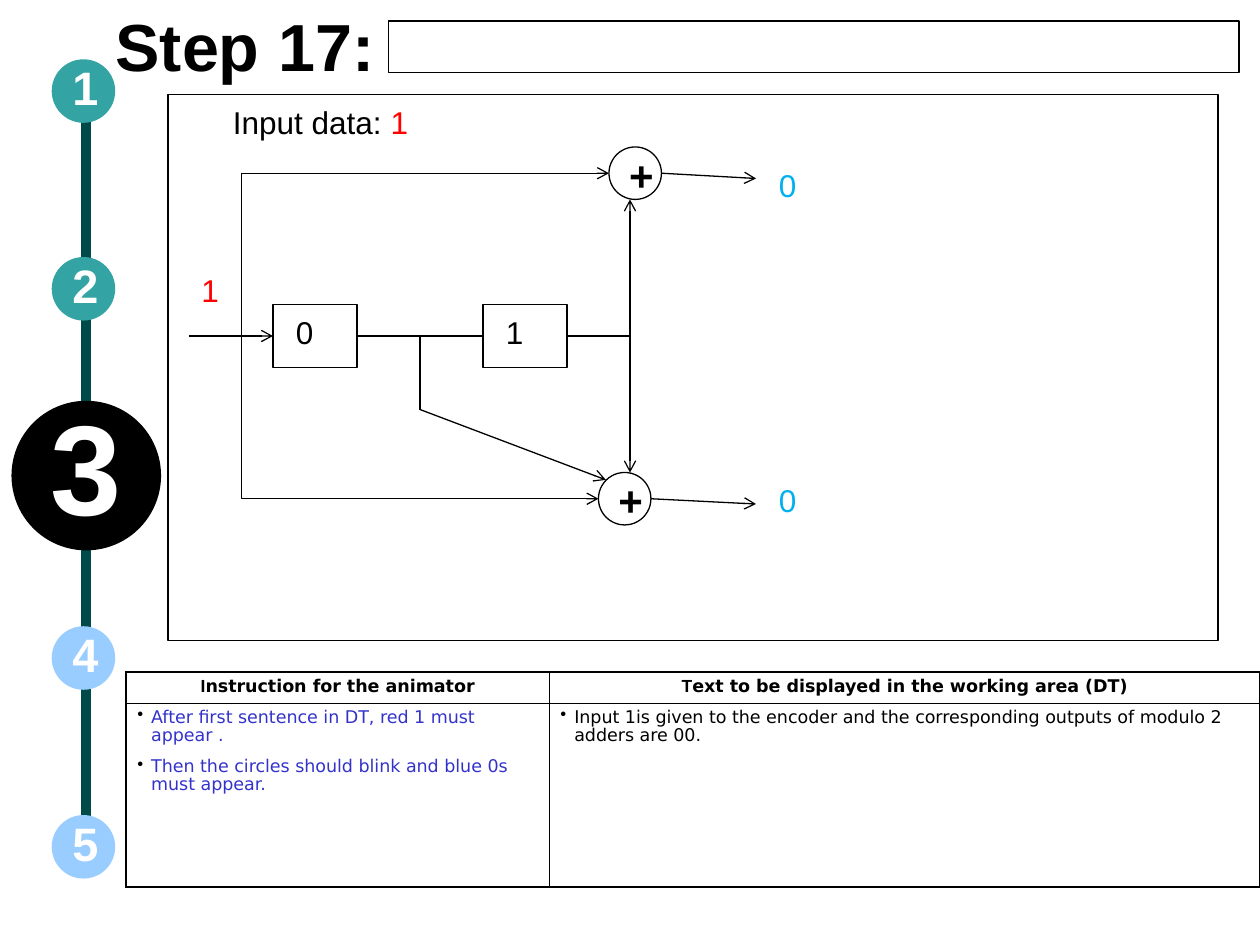
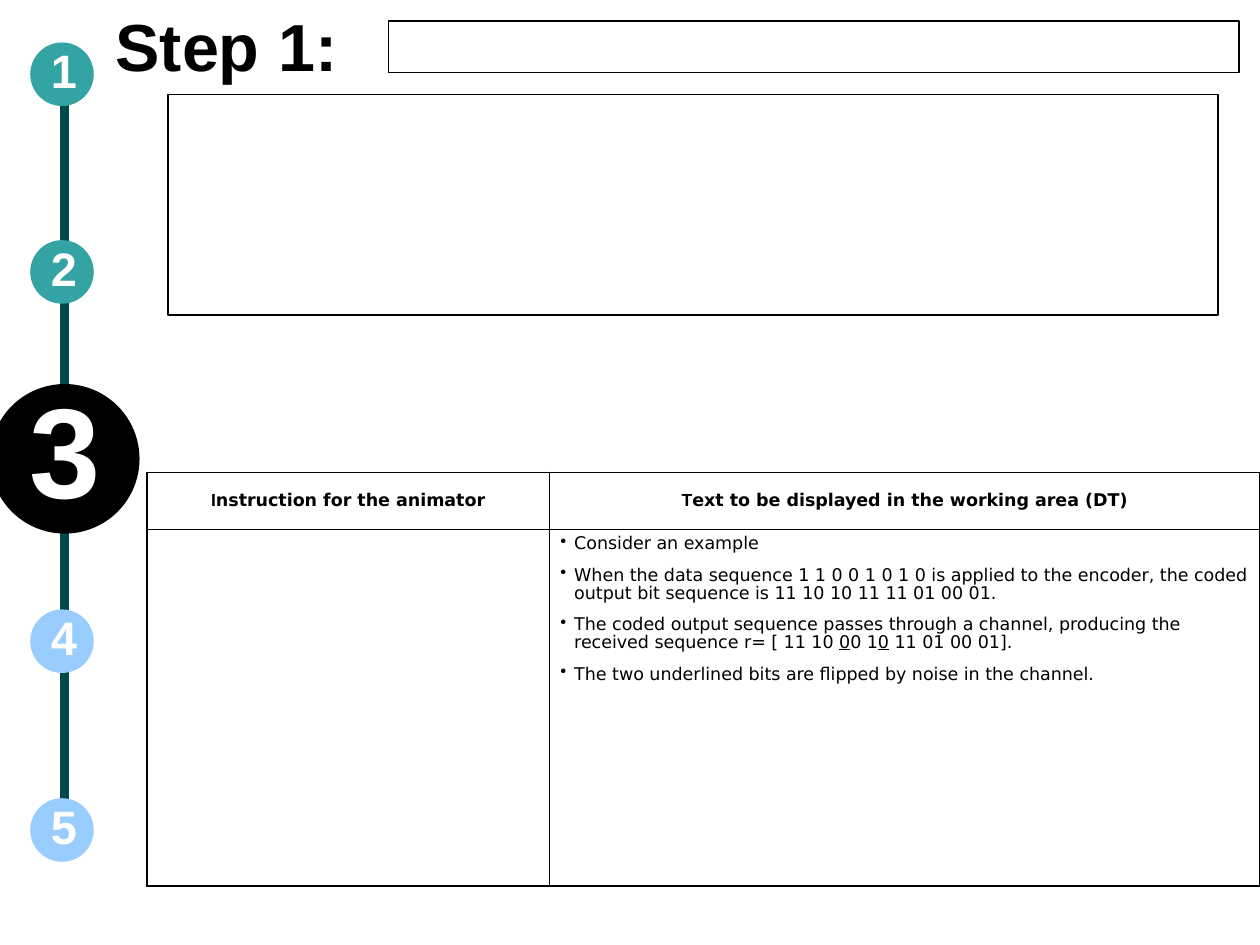
from dataclasses import dataclass

from lxml import etree
from pptx import Presentation
from pptx.dml.color import RGBColor
from pptx.enum.shapes import MSO_CONNECTOR, MSO_SHAPE
from pptx.enum.text import MSO_ANCHOR, PP_ALIGN
from pptx.oxml.ns import qn
from pptx.util import Emu, Inches, Pt

STRAIGHT, ELBOW = MSO_CONNECTOR.STRAIGHT, MSO_CONNECTOR.ELBOW
RECTANGLE, ROUNDED, ELLIPSE = (
    MSO_SHAPE.RECTANGLE, MSO_SHAPE.ROUNDED_RECTANGLE, MSO_SHAPE.OVAL)
LEFT, CENTER = PP_ALIGN.LEFT, PP_ALIGN.CENTER
TOP, MIDDLE = MSO_ANCHOR.TOP, MSO_ANCHOR.MIDDLE
LEFT_SIDE, RIGHT_SIDE = 1, 3
PAGE_WIDTH, PAGE_HEIGHT = Inches(10), Inches(7.5)
COLUMNS, ROWS = 120, 90


@dataclass(frozen=True)
class Theme:
    ink: str = "000000"
    paper: str = "FFFFFF"
    rail: str = "004A4A"
    done: str = "33A3A3"
    ahead: str = "99CCFF"
    direction: str = "3333CC"
    input_bit: str = "FF0000"
    output_bit: str = "00B0F0"
    font: str = "Arial"
    table_font: str = "DejaVu Sans"
    title_size: float = 38
    badge_size: float = 26.8
    current_size: float = 73
    sign_size: float = 24
    label_size: float = 18
    table_size: float = 10
    thin: float = 0.75
    rail_width: float = 5.67
    border_outer: float = 1.08
    border_inner: float = 0.45


THEME = Theme()


@dataclass(frozen=True)
class Area:
    left: float
    top: float
    width: float
    height: float

    def emu(self) -> tuple[Emu, Emu, Emu, Emu]:
        return col(self.left), row(self.top), col(self.width), row(self.height)


@dataclass(frozen=True)
class Span:
    text: str
    color: str | None = None
    font: str | None = None
    underline: bool = False


@dataclass(frozen=True)
class Badge:
    label: str
    middle: float
    color: str
    diameter: float = 6.05
    size: float = THEME.badge_size
    center: float = 7.95


@dataclass(frozen=True)
class Label:
    area: Area
    spans: list[Span]


@dataclass(frozen=True)
class Wire:
    start: tuple[float, float]
    end: tuple[float, float]
    head: bool = False
    tail: bool = False
    kind: int = STRAIGHT
    leaves: str | None = None
    enters: str | None = None


@dataclass(frozen=True)
class Script:
    area: Area
    split: float
    header_height: float
    directions: list[list[Span]]
    narration: list[list[Span]]


@dataclass(frozen=True)
class StepPage:
    title: str
    rail_shift: tuple[float, float]
    stage_height: float
    script: Script


BADGES = [
    Badge("1", 8.67, THEME.done),
    Badge("5", 80.65, THEME.ahead),
    Badge("3", 45.3, THEME.ink, 14.25, THEME.current_size, 8.22),
    Badge("2", 27.5, THEME.done),
    Badge("4", 62.67, THEME.ahead),
]
REGISTERS = {"first": Area(26, 29, 8, 6), "second": Area(46, 29, 8, 6)}
ADDERS = [Area(58, 14, 5, 5), Area(57, 45, 5, 5)]
WIRES = [
    Wire((18, 32), (26, 32), tail=True, enters="first"),
    Wire((34, 32), (46, 32), leaves="first", enters="second"),
    Wire((23, 32), (58, 16.5), tail=True, kind=ELBOW),
    Wire((54, 32), (60, 32), leaves="second"),
    Wire((60, 19), (60, 45), head=True, tail=True),
    Wire((63, 16.5), (72, 17), tail=True),
    Wire((23, 32), (57, 47.5), tail=True, kind=ELBOW),
    Wire((40, 32), (40, 39)),
    Wire((40, 39), (57.7, 45.7), tail=True),
    Wire((62, 47.5), (72, 48), tail=True),
]
LABELS = [
    Label(Area(27, 30, 6, 4), [Span("0")]),
    Label(Area(47, 30, 6, 4), [Span("1")]),
    Label(Area(21, 10, 38, 4), [Span("Input data: "), Span("1", THEME.input_bit)]),
    Label(Area(73, 16, 6, 4), [Span("0", THEME.output_bit)]),
    Label(Area(73, 46, 7, 4), [Span("0", THEME.output_bit)]),
    Label(Area(18, 26, 4, 4), [Span("1", THEME.input_bit)]),
]
HEADINGS = [
    [Span("I", font=THEME.font), Span("nstruction for the animator")],
    [Span("T", font=THEME.font), Span("ext to be displayed in the working area (DT)")],
]
ENCODER_PAGE = StepPage("Step 17:", (0, 0), 52, Script(
    Area(12, 64, 108, 20.4), 40.3, 2.9,
    [[Span("After first sentence in DT, red 1 must appear .", THEME.direction)],
     [Span("Then the circles should blink and blue 0s must appear.", THEME.direction)]],
    [[Span("Input 1is given to the encoder and the corresponding outputs "
           "of modulo 2 adders are 00.")]]))
EXAMPLE_PAGE = StepPage("Step 1:", (-2.05, -1.6), 21, Script(
    Area(14, 45, 106, 39.35), 38.3, 5.4,
    [],
    [[Span("Consider an example")],
     [Span("When the data sequence 1 1 0 0 1 0 1 0 is applied to the encoder, the coded "
           "output bit sequence is 11 10 10 11 11 01 00 01.")],
     [Span("The coded output sequence passes through a channel, producing the "
           "received sequence r= [ 11 10 "),
      Span("0", underline=True), Span("0 1"), Span("0", underline=True),
      Span(" 11 01 00 01].")],
     [Span("The two underlined bits are flipped by noise in the channel.")]]))


def col(count: float) -> Emu:
    return Emu(round(PAGE_WIDTH * count / COLUMNS))


def row(count: float) -> Emu:
    return Emu(round(PAGE_HEIGHT * count / ROWS))


def rgb(color: str) -> RGBColor:
    return RGBColor.from_string(color)


def write_text(frame, paragraphs: list[list[Span]], *, size: float, spacing: float,
               color: str = THEME.ink, font: str = THEME.font, bold: bool = False,
               align=LEFT, before: float = 0, indent: float = 0,
               bullet: str = "") -> None:
    for index, spans in enumerate(paragraphs):
        para = frame.add_paragraph() if index else frame.paragraphs[0]
        para.alignment, para.line_spacing = align, spacing
        para.space_before = Pt(before if index else 0)
        properties = para._p.get_or_add_pPr()
        if indent:
            properties.set("marL", str(Inches(indent)))
            properties.set("indent", str(-Inches(indent)))
        if bullet:
            tint = etree.SubElement(properties, qn("a:buClr"))
            etree.SubElement(tint, qn("a:srgbClr"), val=THEME.ink)
            etree.SubElement(properties, qn("a:buChar"), char=bullet)
        for span in spans:
            run = para.add_run()
            run.text = span.text
            run.font.size, run.font.bold = Pt(size), bold
            run.font.name = span.font or font
            run.font.color.rgb = rgb(span.color or color)
            if span.underline:
                run.font.underline = True


def set_frame(frame, side: float, end: float, anchor=TOP) -> None:
    frame.word_wrap = True
    frame.vertical_anchor = anchor
    frame.margin_left = frame.margin_right = Inches(side)
    frame.margin_top = frame.margin_bottom = Inches(end)


def add_text(page, area: Area, spans: list[Span], side: float, end: float, **style) -> None:
    box = page.shapes.add_textbox(*area.emu())
    set_frame(box.text_frame, side, end)
    write_text(box.text_frame, [spans], **style)


def add_shape(page, kind, area: Area, fill: str | None = None, outline: bool = True):
    shape = page.shapes.add_shape(kind, *area.emu())
    shape.shadow.inherit = False
    if fill:
        shape.fill.solid()
        shape.fill.fore_color.rgb = rgb(fill)
    else:
        shape.fill.background()
    if outline:
        shape.line.color.rgb = rgb(THEME.ink)
        shape.line.width = Pt(THEME.thin)
    else:
        shape.line.fill.background()
    return shape


def add_wire(page, wire: Wire, boxes: dict, color: str = THEME.ink,
             width: float = THEME.thin) -> None:
    (left, top), (right, bottom) = wire.start, wire.end
    line = page.shapes.add_connector(wire.kind, col(left), row(top), col(right), row(bottom))
    line.line.color.rgb = rgb(color)
    line.line.width = Pt(width)
    properties = line._element.spPr
    for wanted, tag in ((wire.head, "a:headEnd"), (wire.tail, "a:tailEnd")):
        if wanted:
            etree.SubElement(properties.find(qn("a:ln")), qn(tag), type="arrow")
    etree.SubElement(properties, qn("a:effectLst"))
    if wire.kind == ELBOW:
        guides = properties.find(qn("a:prstGeom")).get_or_add_avLst()
        etree.SubElement(guides, qn("a:gd"), name="adj1", fmla="val 0")
    if wire.leaves:
        line.begin_connect(boxes[wire.leaves], RIGHT_SIDE)
    if wire.enters:
        line.end_connect(boxes[wire.enters], LEFT_SIDE)


def add_rail(page, shift: tuple[float, float]) -> None:
    across, down = shift
    rail = Wire((8.2 + across, 7.3 + down), (8.2 + across, 83 + down))
    add_wire(page, rail, {}, THEME.rail, THEME.rail_width)
    for badge in BADGES:
        radius = badge.diameter / 2
        area = Area(badge.center - radius + across, badge.middle - radius + down,
                    badge.diameter, badge.diameter)
        circle = add_shape(page, ELLIPSE, area, badge.color, outline=False)
        set_frame(circle.text_frame, 0.09, 0.04, MIDDLE)
        write_text(circle.text_frame, [[Span(badge.label)]], size=badge.size, spacing=0.86,
                   color=THEME.paper, bold=True, align=CENTER)


def format_cell(cell, outer_sides: set[str], anchor) -> None:
    properties = cell._tc.get_or_add_tcPr()
    for side in "LRTB":
        width = THEME.border_outer if side in outer_sides else THEME.border_inner
        border = etree.SubElement(properties, qn(f"a:ln{side}"), w=str(Pt(width)))
        fill = etree.SubElement(border, qn("a:solidFill"))
        etree.SubElement(fill, qn("a:srgbClr"), val=THEME.ink)
    cell.fill.background()
    cell.vertical_anchor = anchor
    cell.margin_left = cell.margin_right = Inches(0.09)
    cell.margin_top = cell.margin_bottom = Inches(0.05)


def add_script(page, script: Script) -> None:
    table = page.shapes.add_table(2, 2, *script.area.emu()).table
    table.first_row = table.horz_banding = False
    widths = (script.split, script.area.width - script.split)
    heights = (script.header_height, script.area.height - script.header_height)
    for column, width in zip(table.columns, widths):
        column.width = col(width)
    for line, height in zip(table.rows, heights):
        line.height = row(height)
    shared = dict(size=THEME.table_size, font=THEME.table_font, spacing=0.87,
                  before=8, indent=0.11)
    for index, body in enumerate((script.directions, script.narration)):
        heading, content = table.cell(0, index), table.cell(1, index)
        format_cell(heading, {"LR"[index], "T"}, MIDDLE)
        format_cell(content, {"LR"[index], "B"}, TOP)
        write_text(heading.text_frame, [HEADINGS[index]], bold=True, align=CENTER, **shared)
        write_text(content.text_frame, body, bullet="•", **shared)


def add_encoder(page) -> None:
    boxes = {name: add_shape(page, RECTANGLE, area, THEME.paper)
             for name, area in REGISTERS.items()}
    for wire in WIRES:
        add_wire(page, wire, boxes)
    for area in ADDERS:
        adder = add_shape(page, ELLIPSE, area, THEME.paper)
        set_frame(adder.text_frame, 0.1, 0.05)
        write_text(adder.text_frame, [[Span("+")]], size=THEME.sign_size,
                   spacing=0.76, bold=True)
    for label in LABELS:
        add_text(page, label.area, label.spans, 0.1, 0.05,
                 size=THEME.label_size, spacing=0.76)


def add_step_page(deck, step: StepPage):
    page = deck.slides.add_slide(deck.slide_layouts[6])
    add_text(page, Area(11, 1, 26, 8), [Span(step.title)], 0, 0,
             size=THEME.title_size, spacing=0.96, bold=True)
    add_rail(page, step.rail_shift)
    stage = add_shape(page, ROUNDED, Area(16, 9, 100, step.stage_height), THEME.paper)
    stage.adjustments[0] = 0
    add_shape(page, RECTANGLE, Area(37, 2, 81, 4.9))
    add_script(page, step.script)
    return page


def main() -> None:
    deck = Presentation()
    deck.slide_width, deck.slide_height = PAGE_WIDTH, PAGE_HEIGHT
    add_encoder(add_step_page(deck, ENCODER_PAGE))
    add_step_page(deck, EXAMPLE_PAGE)
    deck.save("out.pptx")


if __name__ == "__main__":
    main()
